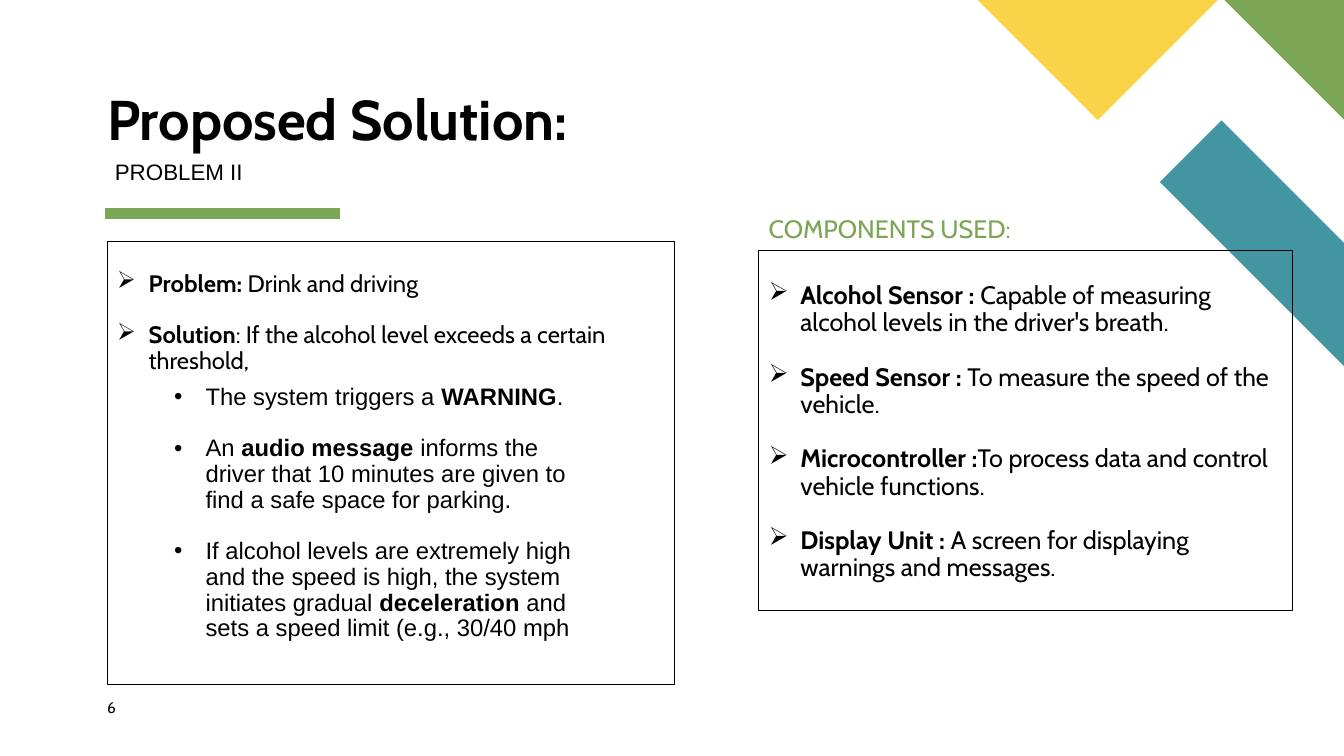
"""Builds the Proposed Solution slide about drink and driving."""
from lxml import etree
from pptx import Presentation
from pptx.dml.color import RGBColor
from pptx.enum.shapes import MSO_CONNECTOR
from pptx.enum.text import MSO_ANCHOR, MSO_AUTO_SIZE, PP_ALIGN
from pptx.oxml.ns import qn
from pptx.util import Pt

BLACK = RGBColor(0x00, 0x00, 0x00)
GREEN = RGBColor(0x7C, 0xA6, 0x55)
TEAL = RGBColor(0x44, 0x95, 0xA2)
YELLOW = RGBColor(0xF9, 0xD4, 0x48)
TOP, BOTTOM = MSO_ANCHOR.TOP, MSO_ANCHOR.BOTTOM
NO_FIT, LEFT = MSO_AUTO_SIZE.NONE, PP_ALIGN.LEFT
STRAIGHT = MSO_CONNECTOR.STRAIGHT
HEAD, BODY = "Cabin", "Arial"
ARROW, DOT = ("Wingdings", "Ø"), ("Arial", "•")
INSET = (7.2, 3.6, 7.2, 3.6)
INDENT = 22.5


class Deck:
    """Holds the style and the current slide."""

    def __init__(self, s):
        self.s = s

    def place(self, sp, box):
        sp.left, sp.top, sp.width, sp.height = map(Pt, box)

    def to_back(self, sp):
        self.s.shapes.element.insert(2, sp.element)

    def frame(self, sp, inset=INSET, anchor=TOP):
        tf = sp.text_frame
        tf.word_wrap, tf.auto_size, tf.vertical_anchor = True, NO_FIT, anchor
        tf.margin_left, tf.margin_top, tf.margin_right, tf.margin_bottom = map(Pt, inset)
        return tf

    def add_runs(self, p, runs, size, font, color=BLACK, spacing=0.9, before=0):
        p.alignment, p.line_spacing = LEFT, spacing
        p.space_before, p.space_after = Pt(before), Pt(0)
        for text, bold in runs:
            r = p.add_run()
            r.text = text
            r.font.name, r.font.size, r.font.bold = font, Pt(size), bold
            r.font.color.rgb = color

    def bullet(self, p, mark):
        pPr = p._p.get_or_add_pPr()
        pPr.set("marL", str(Pt(INDENT)))
        pPr.set("indent", str(-Pt(INDENT)))
        clr = etree.SubElement(pPr, qn("a:buClr"))
        etree.SubElement(clr, qn("a:srgbClr"), val=str(BLACK))
        etree.SubElement(pPr, qn("a:buFont"), typeface=mark[0])
        etree.SubElement(pPr, qn("a:buChar"), char=mark[1])

    def title(self, text, box, size):
        sp = self.s.shapes.title
        self.place(sp, box)
        tf = self.frame(sp, (0, 0, 0, 0), BOTTOM)
        self.add_runs(tf.paragraphs[0], [(text, True)], size, HEAD)

    def label(self, text, box, size, font=HEAD, color=BLACK, inset=INSET):
        sp = self.s.shapes.add_textbox(*map(Pt, box))
        p = self.frame(sp, inset).paragraphs[0]
        self.add_runs(p, [(text, False)], size, font, color, 1)

    def items(self, sp, items, size, font, mark, gap, top=3.6):
        tf = self.frame(sp, (7.2, top, 7.2, 3.6))
        for i, runs in enumerate(items):
            p = tf.add_paragraph() if i else tf.paragraphs[0]
            self.add_runs(p, runs, size, font, before=gap if i else 0)
            self.bullet(p, mark)

    def panel(self, idx, box, items, size, gap):
        sp = self.s.placeholders[idx]
        self.place(sp, box)
        sp.line.color.rgb, sp.line.width = BLACK, Pt(0.75)
        self.items(sp, items, size, HEAD, ARROW, gap, 3.6 + gap)

    def sublist(self, box, items, size, gap):
        sp = self.s.shapes.add_textbox(*map(Pt, box))
        self.items(sp, items, size, BODY, DOT, gap)

    def polygon(self, points, color):
        start, *rest = [(Pt(x), Pt(y)) for x, y in points]
        fb = self.s.shapes.build_freeform(*start, scale=1.0)
        fb.add_line_segments(rest, close=True)
        sp = fb.convert_to_shape()
        sp.shadow.inherit = False
        sp.fill.solid()
        sp.fill.fore_color.rgb = color
        sp.line.fill.background()
        self.to_back(sp)

    def rule(self, x1, x2, y, color, width):
        sp = self.s.shapes.add_connector(STRAIGHT, Pt(x1), Pt(y), Pt(x2), Pt(y))
        sp.line.color.rgb, sp.line.width = color, Pt(width)
        etree.SubElement(sp.element.spPr, qn("a:effectLst"))
        self.to_back(sp)


prs = Presentation()
prs.slide_width, prs.slide_height = Pt(960), Pt(540)
deck = Deck(prs.slides.add_slide(prs.slide_layouts[3]))

deck.polygon([(698.4, 0), (784.2, 85.8), (870, 0)], YELLOW)
deck.polygon([(874.5, 0), (960, 85.5), (960, 0)], GREEN)
deck.polygon([(872.5, 86), (960, 173.5), (960, 261.5), (828.5, 130)], TEAL)
deck.rule(75, 243, 152.8, GREEN, 8)

deck.title("Proposed Solution:", (76.5, 25, 455, 84), 40)
deck.label("PROBLEM II", (75, 109.5, 199, 26.5), 16, BODY)
deck.label("COMPONENTS USED:", (542, 149, 405, 25), 18, color=GREEN)
deck.label("6", (76.5, 498.5, 41, 19), 11, inset=(0, 0, 0, 0))

deck.panel(1, (76.5, 172.3, 405, 317), [
    [("Problem:", True), (" Drink and driving", False)],
    [("Solution", True),
     (": If the alcohol level exceeds a certain threshold,", False)],
], 17, 18.3)
deck.panel(2, (542, 178.8, 381, 257), [
    [("Alcohol Sensor : ", True),
     ("Capable of measuring alcohol levels in the driver's breath.", False)],
    [("Speed Sensor : ", True), ("To measure the speed of the vehicle.", False)],
    [("Microcontroller :", True),
     ("To process data and control vehicle functions.", False)],
    [("Display Unit : ", True),
     ("A screen for displaying warnings and messages.", False)],
], 18, 19.5)
deck.sublist((117.2, 271.5, 314, 193), [
    [("The system triggers a ", False), ("WARNING", True), (".", False)],
    [("An ", False), ("audio message ", True),
     ("informs the driver that 10 minutes are given to find a safe space for parking.", False)],
    [("If alcohol levels are extremely high and the speed is high, the system "
      "initiates gradual ", False), ("deceleration", True),
     (" and sets a speed limit (e.g., 30/40 mph", False)],
], 17, 18.3)

prs.save("out.pptx")
